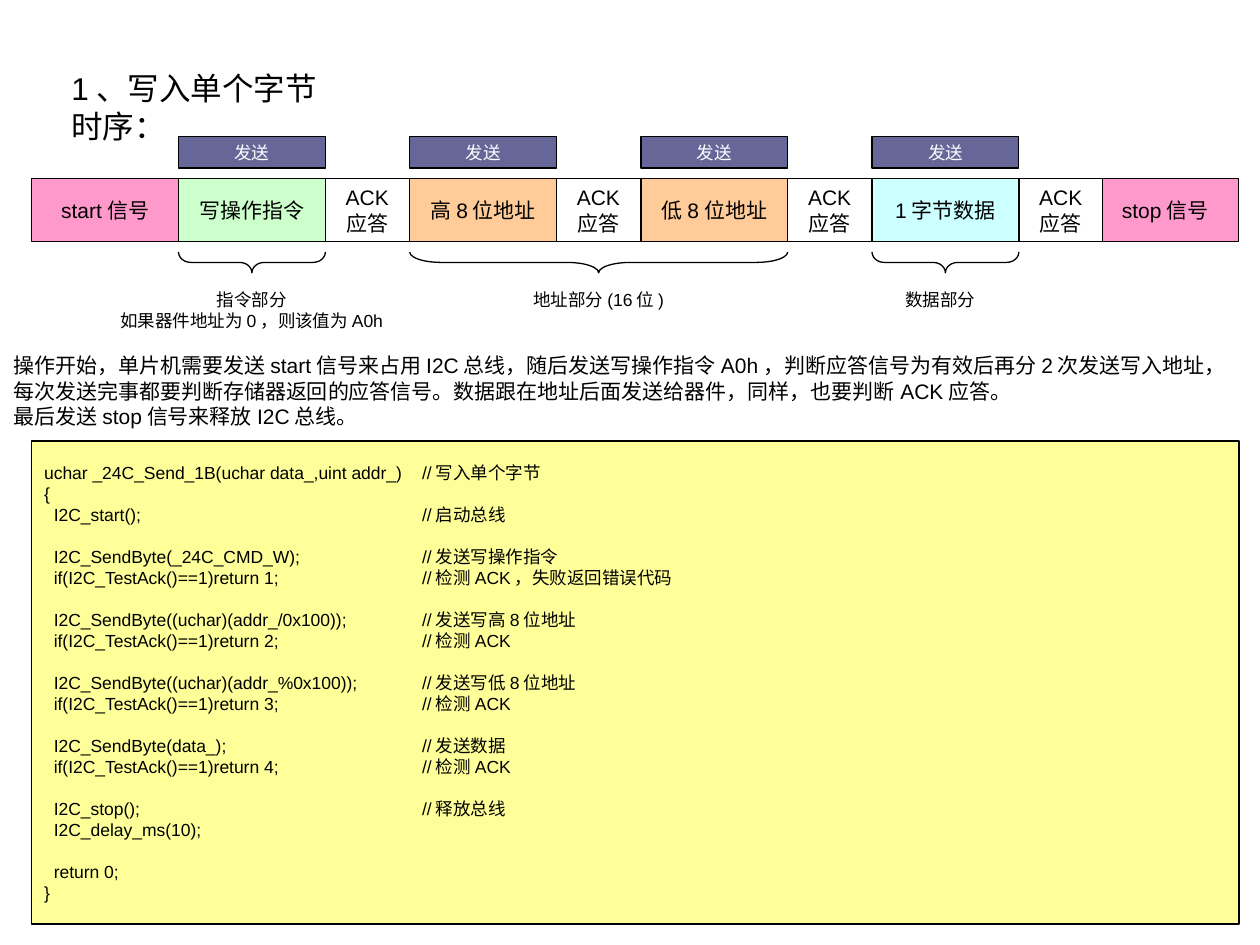
from dataclasses import dataclass
from typing import Optional

from lxml.etree import SubElement
from pptx import Presentation
from pptx.dml.color import RGBColor
from pptx.enum.shapes import MSO_SHAPE as Preset
from pptx.enum.text import MSO_ANCHOR as Anchor, MSO_AUTO_SIZE as AutoSize, PP_ALIGN as Align
from pptx.oxml.ns import qn
from pptx.util import Cm, Pt

BLACK, WHITE = "000000", "FFFFFF"
PINK, GREEN, ORANGE, CYAN = "FF99CC", "CCFFCC", "FFCC99", "CCFFFF"
SLATE, YELLOW = "666699", "FFFF99"
FIRST, PITCH, FIELD_WIDTH, ACK_WIDTH = 3.6, 4.66, 2.96, 1.69
ROW_TOP, ROW_HEIGHT = 3.6, 1.27
SEND_TOP, SEND_HEIGHT = 2.75, 0.64
BRACE_TOP, BRACE_DEPTH = 5.08, 0.42
COMMENT_TAB = 7.62
CODE_GAP = 12


@dataclass
class Area:
    left: float
    top: float
    width: float
    height: float

    def lengths(self) -> list:
        return [Cm(v) for v in (self.left, self.top, self.width, self.height)]


@dataclass
class Field:
    label: str
    left: float
    fill: str


@dataclass
class Caption:
    lines: list
    area: Area
    size: int = 10
    align: Optional[Align] = Align.CENTER
    anchor: Anchor = Anchor.MIDDLE
    fit: AutoSize = AutoSize.NONE


def field_left(index: int) -> float:
    return FIRST + index * PITCH


def paint(colour_format, colour: str) -> None:
    colour_format.rgb = RGBColor.from_string(colour)


def write(frame, lines: list, size: int, colour: str = BLACK, align: Optional[Align] = Align.CENTER) -> None:
    for index, line in enumerate(lines):
        paragraph = frame.paragraphs[0] if index == 0 else frame.add_paragraph()
        paragraph.alignment = align
        run = paragraph.add_run()
        run.text = line
        for name, value in {"name": "Arial", "size": Pt(size)}.items():
            setattr(run.font, name, value)
        paint(run.font.color, colour)


def outline(shape) -> None:
    shape.shadow.inherit = False
    shape.line.width = Pt(0.75)
    paint(shape.line.color, BLACK)


def draw_box(slide, area: Area, fill: str):
    box = slide.shapes.add_shape(Preset.RECTANGLE, *area.lengths())
    outline(box)
    box.fill.solid()
    paint(box.fill.fore_color, fill)
    for name, value in {"word_wrap": True, "vertical_anchor": Anchor.MIDDLE}.items():
        setattr(box.text_frame, name, value)
    return box


def draw_cell(slide, area: Area, fill: str, lines: list, size: int = 12, colour: str = BLACK) -> None:
    write(draw_box(slide, area, fill).text_frame, lines, size, colour)


def draw_brace(slide, left: float, span: float) -> None:
    area = Area(left + (span - BRACE_DEPTH) / 2, BRACE_TOP + (BRACE_DEPTH - span) / 2, BRACE_DEPTH, span)
    brace = slide.shapes.add_shape(Preset.LEFT_BRACE, *area.lengths())
    outline(brace)
    brace.fill.background()
    brace.rotation = 270
    brace.adjustments[0] = span / 12 / BRACE_DEPTH


def draw_caption(slide, caption: Caption) -> None:
    frame = slide.shapes.add_textbox(*caption.area.lengths()).text_frame
    layout = {"word_wrap": False, "vertical_anchor": caption.anchor, "auto_size": caption.fit}
    for name, value in layout.items():
        setattr(frame, name, value)
    write(frame, caption.lines, caption.size, align=caption.align)


def draw_code(slide, area: Area, groups: list) -> None:
    frame = draw_box(slide, area, YELLOW).text_frame
    write(frame, [line for group in groups for line in group], 10, align=Align.LEFT)
    for paragraph in frame.paragraphs:
        tabs = SubElement(paragraph._p.get_or_add_pPr(), qn("a:tabLst"))
        SubElement(tabs, qn("a:tab"), pos=str(Cm(COMMENT_TAB)), algn="l")
    start = 0
    for group in groups[:-1]:
        start += len(group)
        frame.paragraphs[start].space_before = Pt(CODE_GAP)


FIELDS = [
    Field("start信号", FIRST - FIELD_WIDTH, PINK),
    Field("写操作指令", field_left(0), GREEN),
    Field("高8位地址", field_left(1), ORANGE),
    Field("低8位地址", field_left(2), ORANGE),
    Field("1字节数据", field_left(3), CYAN),
    Field("stop信号", 22.01, PINK),
]

BRACES = [
    (field_left(0), FIELD_WIDTH),
    (field_left(1), PITCH + FIELD_WIDTH),
    (field_left(3), FIELD_WIDTH),
]

FREE_TEXT = {"align": Align.LEFT, "anchor": Anchor.TOP, "fit": AutoSize.SHAPE_TO_FIT_TEXT}

TITLE = Caption(["1、写入单个字节", "时序："], Area(1.19, 1.27, 5.46, 1.78), 18, **FREE_TEXT)

CAPTIONS = [
    Caption(["指令部分", "如果器件地址为0，则该值为A0h"], Area(1.9, 5.72, 6.35, 1.06)),
    Caption(["地址部分(16位)"], Area(8.26, 5.72, 7.62, 0.64)),
    Caption(["数据部分"], Area(17.36, 5.72, 3.18, 0.64)),
    Caption(
        [
            "操作开始，单片机需要发送start信号来占用I2C总线，随后发送写操作指令A0h，判断应答信号为有效后再分2次发送写入地址，",
            "每次发送完事都要判断存储器返回的应答信号。数据跟在地址后面发送给器件，同样，也要判断ACK应答。",
            "最后发送stop信号来释放I2C总线。",
        ],
        Area(0.02, 6.99, 24.94, 1.78), 12, **FREE_TEXT,
    ),
]

CODE = [
    ["uchar _24C_Send_1B(uchar data_,uint addr_)\t//写入单个字节", "{", "  I2C_start();\t//启动总线"],
    ["  I2C_SendByte(_24C_CMD_W);\t//发送写操作指令",
     "  if(I2C_TestAck()==1)return 1;\t//检测ACK，失败返回错误代码"],
    ["  I2C_SendByte((uchar)(addr_/0x100));\t//发送写高8位地址",
     "  if(I2C_TestAck()==1)return 2;\t//检测ACK"],
    ["  I2C_SendByte((uchar)(addr_%0x100));\t//发送写低8位地址",
     "  if(I2C_TestAck()==1)return 3;\t//检测ACK"],
    ["  I2C_SendByte(data_);\t//发送数据", "  if(I2C_TestAck()==1)return 4;\t//检测ACK"],
    ["  I2C_stop();\t//释放总线", "  I2C_delay_ms(10);"],
    ["  return 0;", "}"],
]


def main() -> None:
    deck = Presentation()
    deck.slide_width, deck.slide_height = Cm(25.4), Cm(19.05)
    slide = deck.slides.add_slide(deck.slide_layouts[6])

    draw_caption(slide, TITLE)
    for field in FIELDS:
        draw_cell(slide, Area(field.left, ROW_TOP, FIELD_WIDTH, ROW_HEIGHT), field.fill, [field.label])
    for index in range(4):
        left = field_left(index)
        draw_cell(slide, Area(left + FIELD_WIDTH, ROW_TOP, ACK_WIDTH, ROW_HEIGHT), WHITE, ["ACK", "应答"])
        draw_cell(slide, Area(left, SEND_TOP, FIELD_WIDTH, SEND_HEIGHT), SLATE, ["发送"], 10, WHITE)
    for left, span in BRACES:
        draw_brace(slide, left, span)
    for caption in CAPTIONS:
        draw_caption(slide, caption)
    draw_code(slide, Area(0.64, 8.89, 24.34, 9.74), CODE)
    deck.save("out.pptx")


if __name__ == "__main__":
    main()
